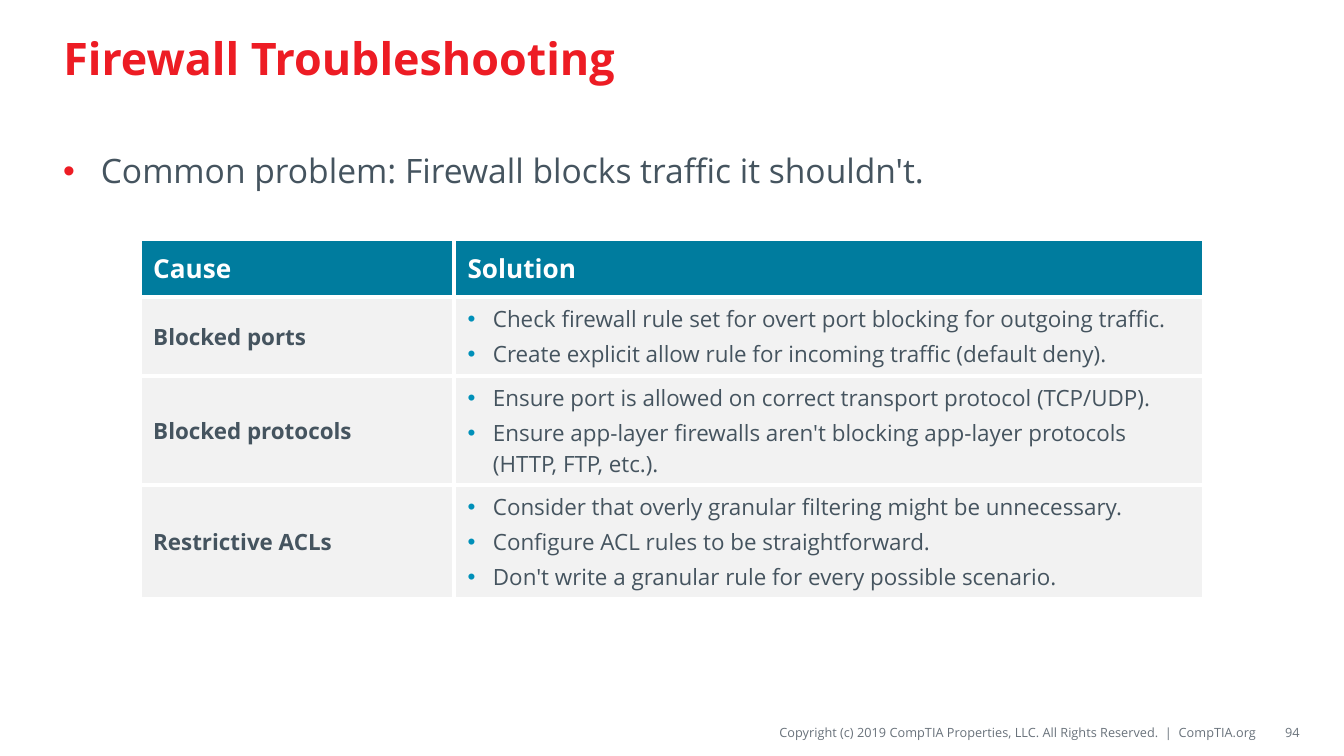
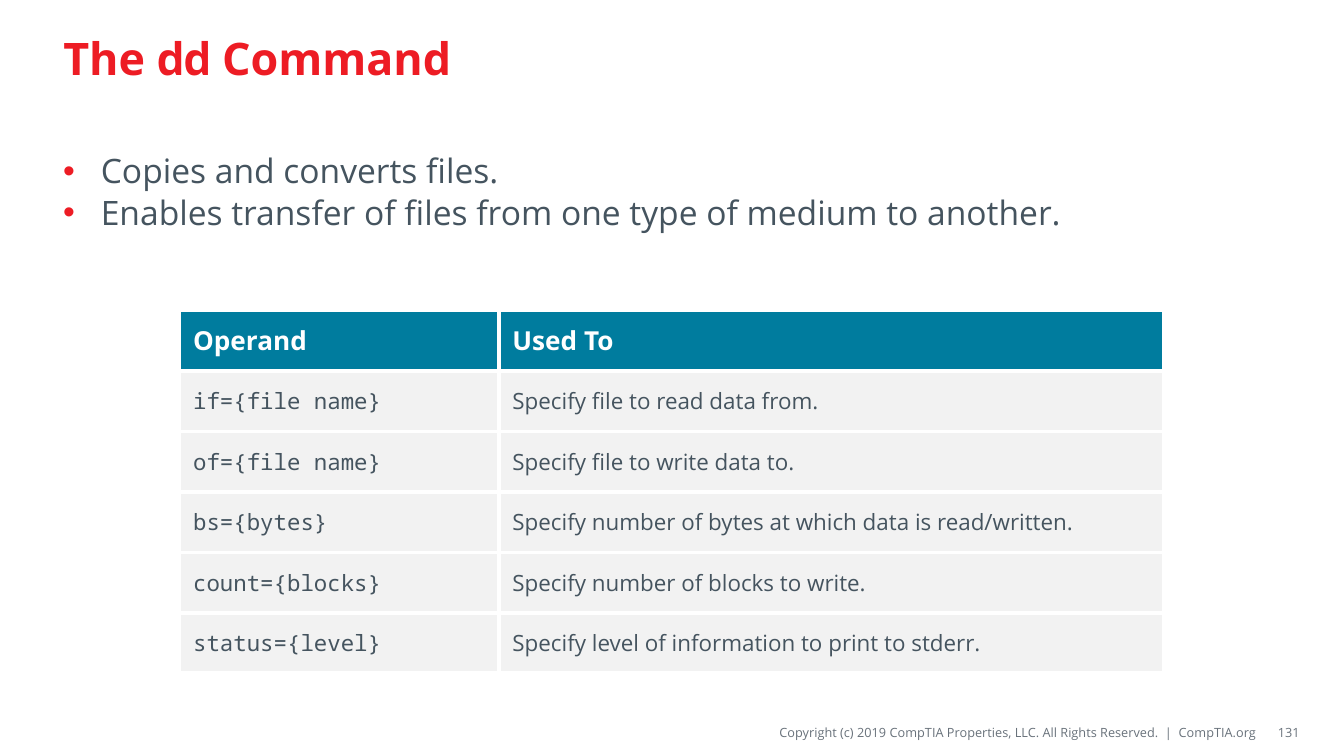
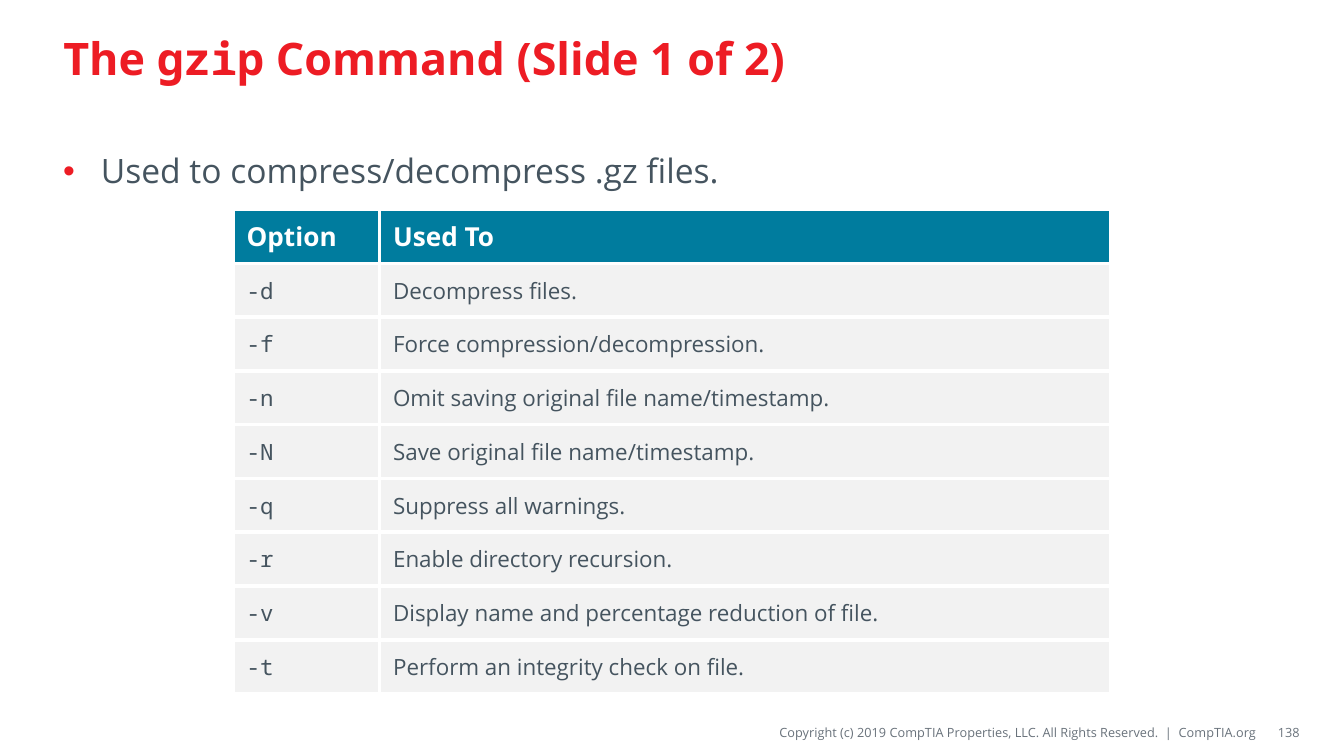
"""Build three slides of troubleshooting and command tables."""
from dataclasses import dataclass

from lxml.etree import SubElement
from pptx import Presentation
from pptx.dml.color import RGBColor
from pptx.enum.text import MSO_ANCHOR as Anchor, MSO_AUTO_SIZE as AutoSize, PP_ALIGN as Align
from pptx.oxml import parse_xml
from pptx.oxml.ns import nsdecls, qn
from pptx.util import Pt


@dataclass(frozen=True)
class Theme:
    sans: str = "Open Sans"
    mono: str = "Noto Sans Mono"
    red: str = "ED1C24"
    slate: str = "45545F"
    grey: str = "69727B"
    teal: str = "007C9E"
    blue: str = "0090B9"
    pale: str = "F2F2F2"
    white: str = "FFFFFF"
    title_size: float = 24
    body_size: float = 18
    header_size: float = 14
    cell_size: float = 12
    footer_size: float = 6.8
    border: float = 2.25


WIDTH, HEIGHT = 720, 405
MARGIN, CONTENT_WIDTH = 26.7, 666
FOOTER_TOP, FOOTER_HEIGHT = 384.5, 16
COPYRIGHT = "Copyright (c) 2019 CompTIA Properties, LLC. All Rights Reserved.  |  CompTIA.org"


class DeckBuilder:
    def __init__(self, theme):
        self.theme = theme
        self.deck = Presentation()
        self.deck.slide_width, self.deck.slide_height = Pt(WIDTH), Pt(HEIGHT)
        self.page = None

    def start_page(self, title_spans, number):
        self.page = self.deck.slides.add_slide(self.deck.slide_layouts[5])
        self.title(title_spans)
        self.footer(COPYRIGHT, 279.4, 393.8, 0)
        self.footer(str(number), 675.4, 20.9, 7.2)

    def style(self, span, size, color, bold=False, name=None):
        font = span.font
        font.name = name or self.theme.sans
        font.size = Pt(size)
        font.bold = bold
        font.color.rgb = RGBColor.from_string(color)

    def bullet(self, para, color, indent):
        properties = para._p.get_or_add_pPr()
        properties.set("marL", str(Pt(indent)))
        properties.set("indent", str(-Pt(indent)))
        bullet_color = SubElement(properties, qn("a:buClr"))
        SubElement(bullet_color, qn("a:srgbClr")).set("val", color)
        SubElement(properties, qn("a:buFont")).set("typeface", "Arial")
        SubElement(properties, qn("a:buChar")).set("char", "•")

    def bullet_list(self, frame, lines, size, bullet_color, indent, gap):
        frame.text = "\n".join(lines)
        for index, para in enumerate(frame.paragraphs):
            self.bullet(para, bullet_color, indent)
            para.space_before = Pt(gap if index else 0)
            self.style(para.runs[0], size, self.theme.slate)

    def title(self, spans):
        """Write the title, every second span in the monospaced font."""
        box = self.page.shapes.title
        box.left, box.top = Pt(MARGIN), Pt(5.8)
        box.width, box.height = Pt(CONTENT_WIDTH), Pt(49.7)
        frame = box.text_frame
        frame.auto_size = AutoSize.NONE
        frame.vertical_anchor = Anchor.MIDDLE
        para = frame.paragraphs[0]
        para.alignment = Align.LEFT
        for index, text in enumerate(spans):
            span = para.add_run()
            span.text = text
            name = self.theme.mono if index % 2 else self.theme.sans
            self.style(span, self.theme.title_size, self.theme.red, True, name)

    def text_box(self, left, top, width, height):
        box = self.page.shapes.add_textbox(Pt(left), Pt(top), Pt(width), Pt(height))
        box.text_frame.word_wrap = True
        return box.text_frame

    def footer(self, text, left, width, inset):
        frame = self.text_box(left, FOOTER_TOP, width, FOOTER_HEIGHT)
        frame.margin_left, frame.margin_right = Pt(inset), 0
        frame.vertical_anchor = Anchor.MIDDLE
        frame.text = text
        para = frame.paragraphs[0]
        para.alignment = Align.RIGHT
        self.style(para.runs[0], self.theme.footer_size, self.theme.grey)

    def body(self, *lines):
        frame = self.text_box(MARGIN, 77, CONTENT_WIDTH, 280.8)
        self.bullet_list(frame, lines, self.theme.body_size, self.theme.red, 20.2, 0.8)

    def cell(self, cell, content, size, color, fill, bold=False, name=None):
        cell.vertical_anchor = Anchor.MIDDLE
        cell.fill.solid()
        cell.fill.fore_color.rgb = RGBColor.from_string(fill)
        for index, side in enumerate(("lnL", "lnR", "lnT", "lnB")):
            cell._tc.get_or_add_tcPr().insert(index, parse_xml(
                f'<a:{side} {nsdecls("a")} w="{Pt(self.theme.border)}"><a:solidFill>'
                f'<a:srgbClr val="{self.theme.white}"/></a:solidFill></a:{side}>'))
        if isinstance(content, list):
            self.bullet_list(cell.text_frame, content, size, self.theme.blue, 13.6, 2.4)
        else:
            cell.text_frame.text = content
            self.style(cell.text_frame.paragraphs[0].runs[0], size, color, bold, name)

    def table(self, top, widths, heights, header, rows, **key_style):
        """Add a centred table whose first column takes the key style."""
        theme = self.theme
        total = sum(widths)
        frame = self.page.shapes.add_table(
            len(rows) + 1, len(widths), Pt((WIDTH - total) / 2), Pt(top),
            Pt(total), Pt(sum(heights)))
        table = frame.table
        table.horz_banding = False
        for column, width in zip(table.columns, widths):
            column.width = Pt(width)
        for row, height in zip(table.rows, heights):
            row.height = Pt(height)
        for index, text in enumerate(header):
            self.cell(table.cell(0, index), text, theme.header_size, theme.white, theme.teal, True)
        for index, (key, value) in enumerate(rows, 1):
            self.cell(table.cell(index, 0), key, theme.cell_size, theme.slate, theme.pale, **key_style)
            self.cell(table.cell(index, 1), value, theme.cell_size, theme.slate, theme.pale)


def main():
    theme = Theme()
    builder = DeckBuilder(theme)

    builder.start_page(["Firewall Troubleshooting"], 94)
    builder.body("Common problem: Firewall blocks traffic it shouldn't.")
    causes = [
        ("Blocked ports", [
            "Check firewall rule set for overt port blocking for outgoing traffic.",
            "Create explicit allow rule for incoming traffic (default deny)."]),
        ("Blocked protocols", [
            "Ensure port is allowed on correct transport protocol (TCP/UDP).",
            "Ensure app-layer firewalls aren't blocking app-layer protocols (HTTP, FTP, etc.)."]),
        ("Restrictive ACLs", [
            "Consider that overly granular filtering might be unnecessary.",
            "Configure ACL rules to be straightforward.",
            "Don't write a granular rule for every possible scenario."]),
    ]
    builder.table(128.2, [168.4, 401.8], [31, 42.2, 58.5, 61], ["Cause", "Solution"],
                  causes, bold=True)

    builder.start_page(["The ", "dd", " Command"], 131)
    builder.body("Copies and converts files.",
                 "Enables transfer of files from one type of medium to another.")
    operands = [
        ("if={file name}", "Specify file to read data from."),
        ("of={file name}", "Specify file to write data to."),
        ("bs={bytes}", "Specify number of bytes at which data is read/written."),
        ("count={blocks}", "Specify number of blocks to write."),
        ("status={level}", "Specify level of information to print to stderr."),
    ]
    builder.table(166.3, [171.1, 356.4], [32.4] * 6, ["Operand", "Used To"],
                  operands, name=theme.mono)

    builder.start_page(["The ", "gzip", " Command (Slide 1 of 2)"], 138)
    builder.body("Used to compress/decompress .gz files.")
    options = [
        ("-d", "Decompress files."),
        ("-f", "Force compression/decompression."),
        ("-n", "Omit saving original file name/timestamp."),
        ("-N", "Save original file name/timestamp."),
        ("-q", "Suppress all warnings."),
        ("-r", "Enable directory recursion."),
        ("-v", "Display name and percentage reduction of file."),
        ("-t", "Perform an integrity check on file."),
    ]
    builder.table(112.3, [78.5, 391.7], [28.8] * 9, ["Option", "Used To"],
                  options, name=theme.mono)

    builder.deck.save("out.pptx")


if __name__ == "__main__":
    main()
